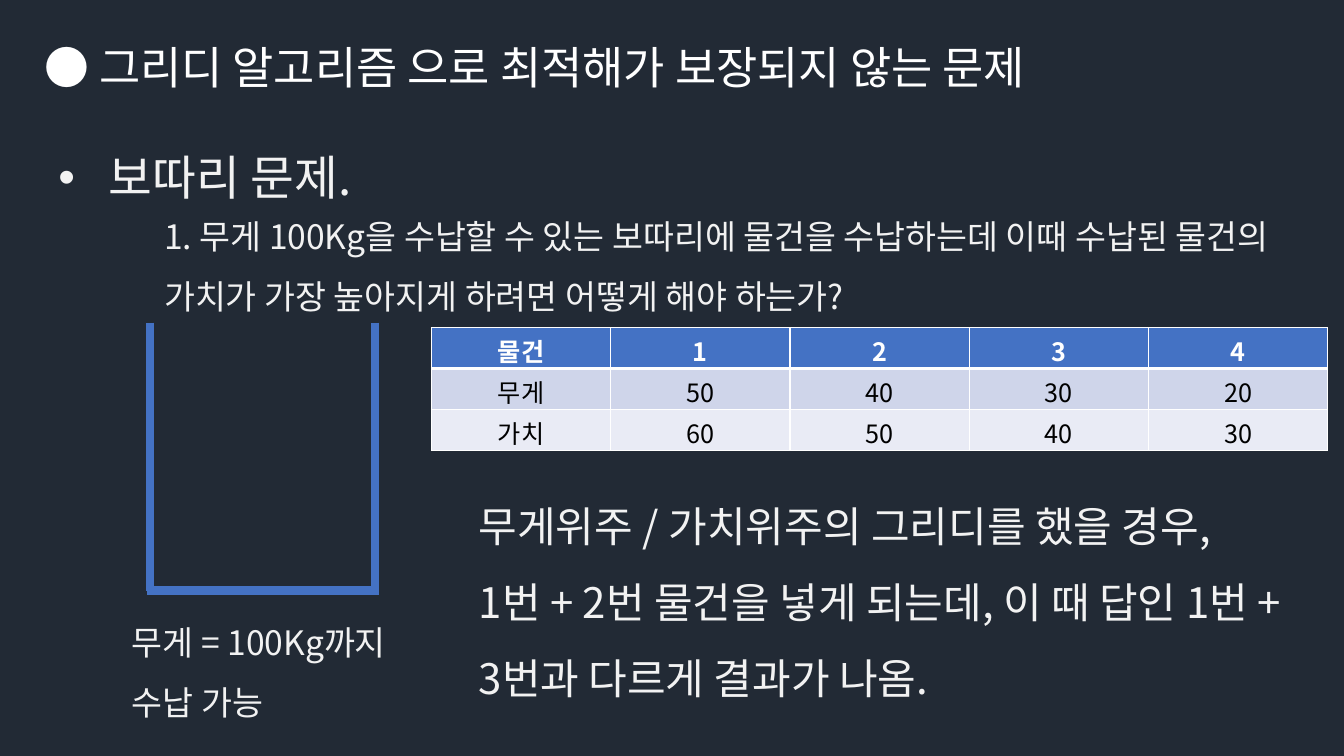
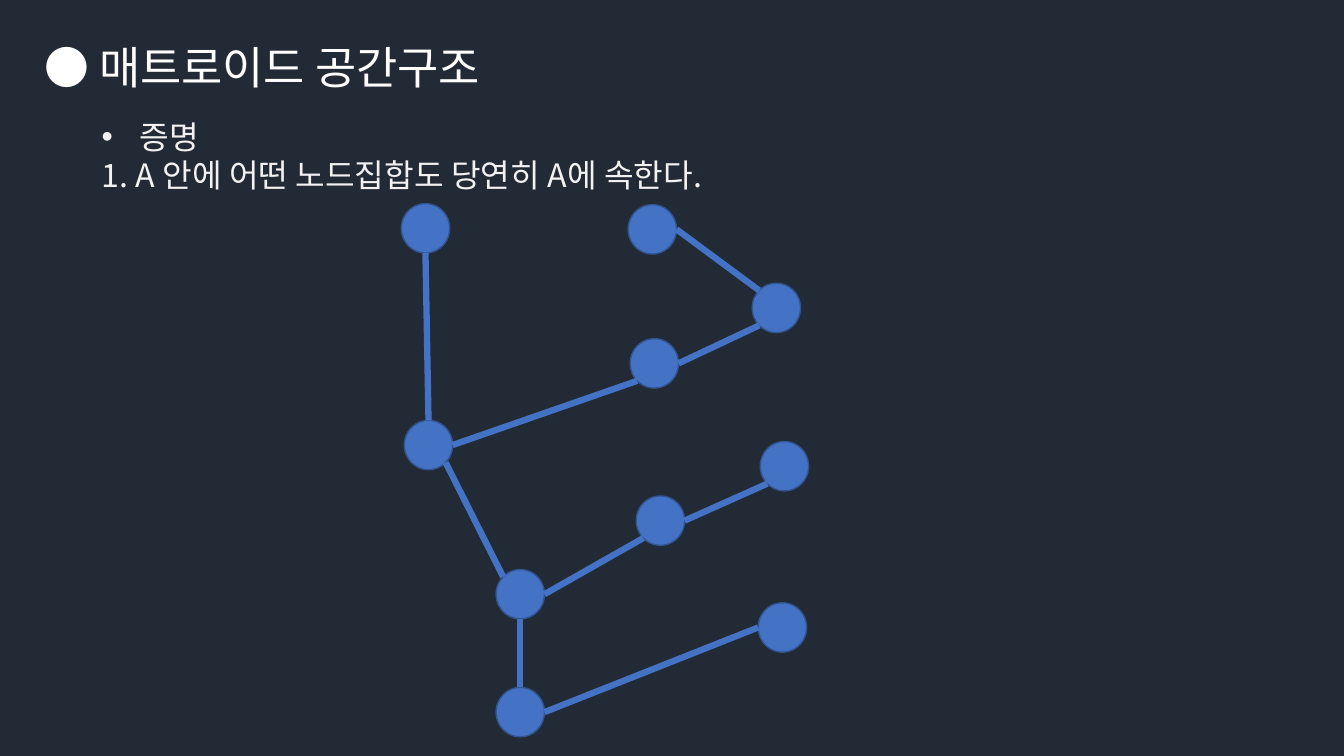
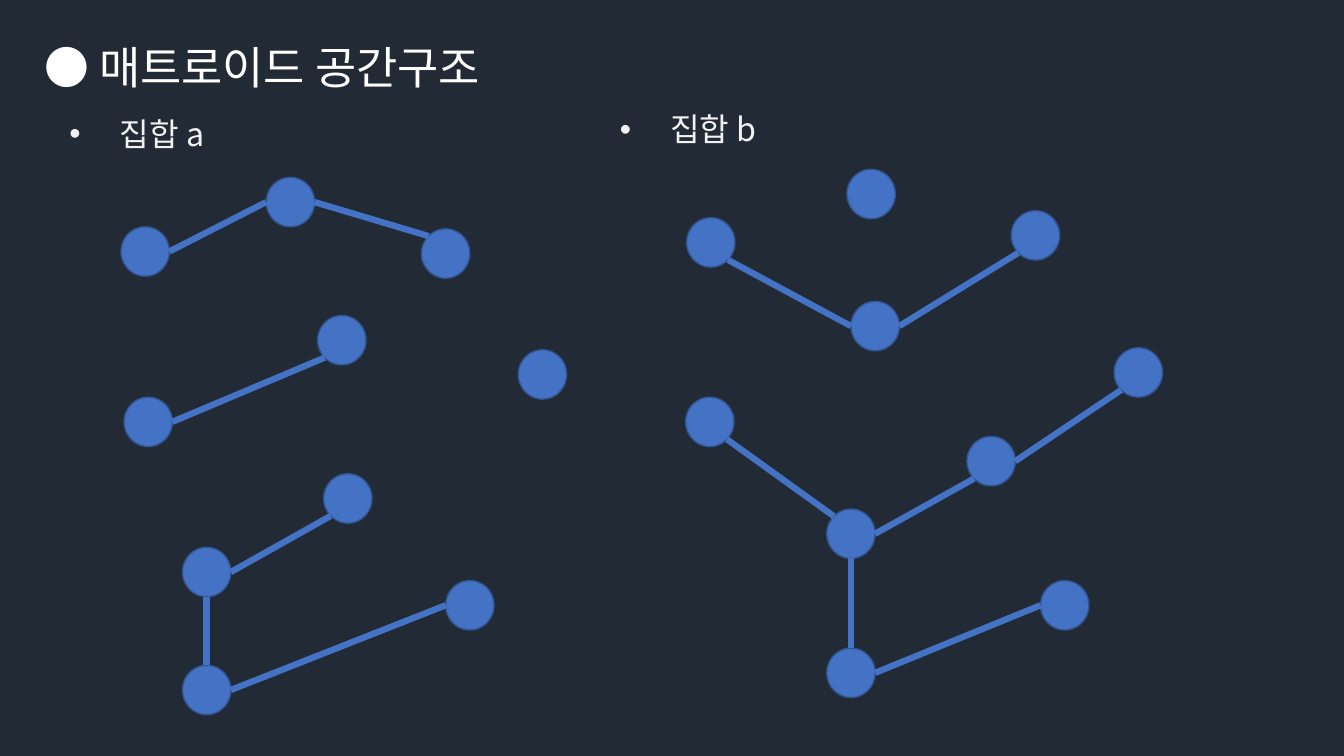
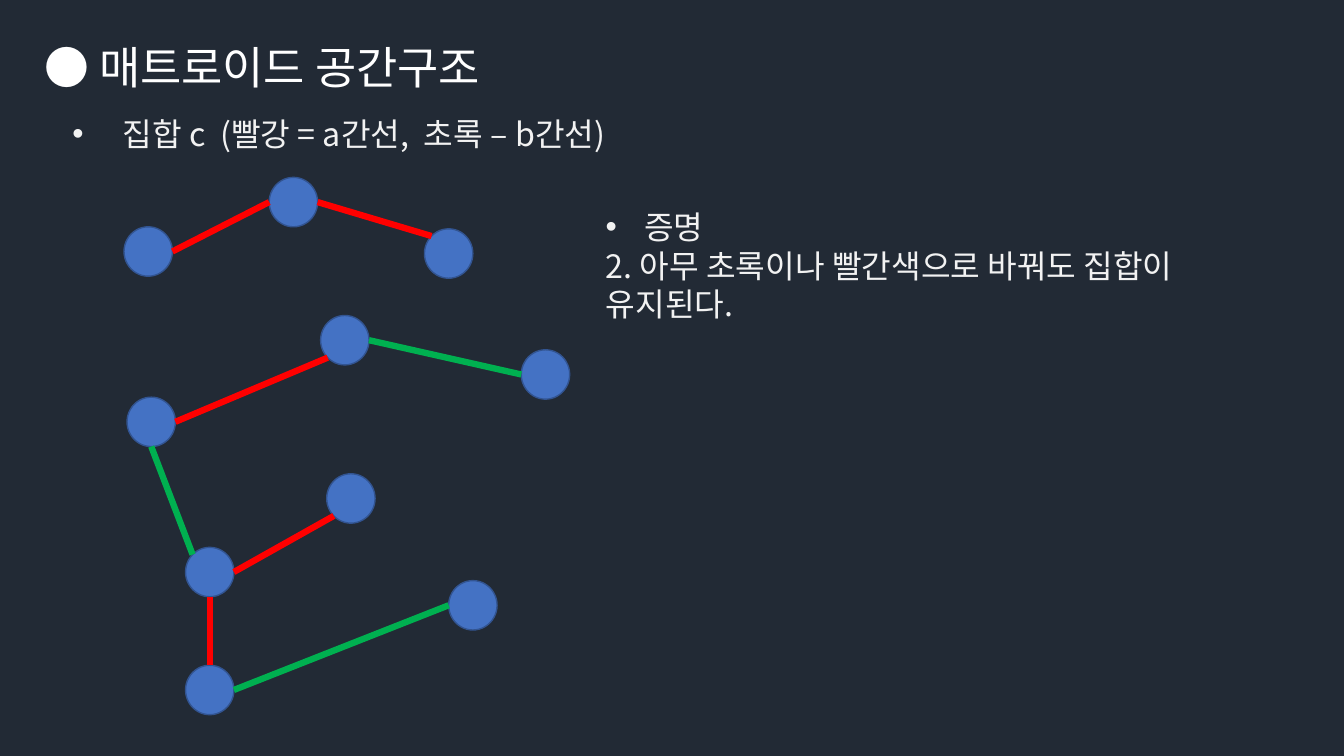
import copy
import dataclasses
import math

import pptx
import pptx.dml.color
import pptx.enum.shapes
import pptx.enum.text
import pptx.oxml
import pptx.oxml.ns
import pptx.util
from lxml import etree

Inches = pptx.util.Inches
Pt = pptx.util.Pt
qn = pptx.oxml.ns.qn


@dataclasses.dataclass(frozen=True)
class Theme:
    font: str = "Noto Sans CJK KR"
    background: str = "222A35"
    title: str = "FFFFFF"
    text: str = "F2F2F2"
    accent: str = "4472C4"
    outline: str = "325491"
    red: str = "FF0000"
    green: str = "00B050"
    table_text: str = "000000"
    table_border: str = "FFFFFF"
    table_bands: tuple = ("CFD5EA", "E9EBF5")
    title_size: int = 32
    heading_size: int = 34
    result_size: int = 30
    body_size: int = 24
    note_size: int = 23
    table_size: int = 18
    edge_width: float = 4.5
    sack_width: float = 6


THEME = Theme()
NODE_WIDTH, NODE_HEIGHT = 0.48, 0.49
WIDE_INDENT, NARROW_INDENT = 0.5, 0.38
MATROID_TITLE = "매트로이드 공간구조"

ITEMS = [
    ["물건", "1", "2", "3", "4"],
    ["무게", "50", "40", "30", "20"],
    ["가치", "60", "50", "40", "30"],
]
KNAPSACK_TEXTS = [
    ((0.48, 1.42, 11.65, 0.67), THEME.heading_size, 1, [("보따리 문제.", WIDE_INDENT)]),
    ((1.21, 5.92, 4.63, 1.23), THEME.body_size, 1.5,
     [("무게 = 100Kg까지", 0), ("수납 가능", 0)]),
    ((4.65, 4.67, 8.33, 2.28), THEME.result_size, 1.5,
     [("무게위주 / 가치위주의 그리디를 했을 경우,", 0),
      ("1번 + 2번 물건을 넣게 되는데, 이 때 답인 1번 + 3번과 다르게 결과가 나옴.", 0)]),
    ((1.53, 1.89, 11.33, 1.23), THEME.body_size, 1.5,
     [("1. 무게 100Kg을 수납할 수 있는 보따리에 물건을 수납하는데 이때 수납된 "
       "물건의 가치가 가장 높아지게 하려면 어떻게 해야 하는가?", 0)]),
]
SACK_SIDES = [
    ((1.49, 3.2), (1.49, 5.86)),
    ((3.76, 5.86), (1.46, 5.86)),
    ((3.72, 3.2), (3.72, 5.86)),
]

TREE_NODES = [
    (3.98, 2.02), (6.23, 2.03), (7.46, 2.81), (6.25, 3.36), (4.01, 4.17),
    (7.54, 4.38), (6.31, 4.92), (4.92, 5.65), (4.92, 6.82), (7.52, 5.98),
]
TREE_EDGES = [
    (0, "bottom", 4, "top"), (1, "right", 2, "top left"),
    (2, "bottom left", 3, "right"), (3, "bottom left", 4, "right"),
    (7, "top left", 4, "bottom right"), (5, "bottom left", 6, "right"),
    (6, "bottom left", 7, "right"), (9, "left", 8, "right"),
    (7, "bottom", 8, "top"),
]
SET_A_NODES = [
    (1.2, 2.25), (2.64, 1.76), (4.18, 2.27), (3.15, 3.13), (1.23, 3.94),
    (5.14, 3.47), (3.21, 4.7), (1.81, 5.43), (1.81, 6.6), (4.42, 5.76),
]
KEPT_EDGES = [
    (3, "bottom left", 4, "right"), (1, "left", 0, "right"),
    (6, "bottom left", 7, "right"), (7, "bottom", 8, "top"),
    (1, "right", 2, "top left"),
]
SHARED_EDGE = (9, "left", 8, "right")
SET_B_NODES = [
    (6.81, 2.16), (8.4, 1.68), (10.03, 2.09), (8.44, 2.99), (6.8, 3.94),
    (11.05, 3.45), (9.59, 4.33), (8.2, 5.05), (8.2, 6.43), (10.32, 5.76),
]
SET_B_EDGES = [
    (0, "bottom right", 3, "left"), (2, "bottom left", 3, "right"),
    (7, "top left", 4, "bottom right"), (5, "bottom left", 6, "right"),
    (6, "bottom left", 7, "right"), SHARED_EDGE, (7, "bottom", 8, "top"),
]
SET_C_NODES = [(left + 0.03, top) for left, top in SET_A_NODES]
ADDED_EDGES = [SHARED_EDGE, (5, "left", 3, "right"), (7, "top left", 4, "bottom")]

MATROID_SLIDES = [
    {
        "texts": [((0.91, 1.11, 11.28, 0.88),
                   [("증명", NARROW_INDENT),
                    ("1. A 안에 어떤 노드집합도 당연히 A에 속한다.", 0)])],
        "graphs": [(TREE_NODES, [(TREE_EDGES, THEME.accent)])],
    },
    {
        "texts": [((0.59, 1.08, 1.9, 0.49), [("집합 a", WIDE_INDENT)]),
                  ((6.05, 1.04, 1.9, 0.49), [("집합 b", WIDE_INDENT)])],
        "graphs": [(SET_A_NODES, [(KEPT_EDGES + [SHARED_EDGE], THEME.accent)]),
                   (SET_B_NODES, [(SET_B_EDGES, THEME.accent)])],
    },
    {
        "texts": [((0.62, 1.08, 7.59, 0.49),
                   [("집합 c  (빨강 = a간선,  초록 – b간선)", WIDE_INDENT)]),
                  ((5.91, 2.01, 6.7, 1.26),
                   [("증명", NARROW_INDENT),
                    ("2. 아무 초록이나 빨간색으로 바꿔도 집합이 유지된다.", 0)])],
        "graphs": [(SET_C_NODES, [(KEPT_EDGES, THEME.red), (ADDED_EDGES, THEME.green)])],
    },
]


def rgb(color):
    return pptx.dml.color.RGBColor.from_string(color)


def add_run(paragraph, text, size, color, bold=False):
    run = paragraph.add_run()
    run.text = text
    run.font.size = Pt(size)
    run.font.bold = bold
    run.font.name = THEME.font
    run.font.color.rgb = rgb(color)
    east_asian = copy.deepcopy(run.font._element.find(qn("a:latin")))
    east_asian.tag = qn("a:ea")
    run.font._element.append(east_asian)


def add_bullet(paragraph, indent):
    properties = paragraph._p.get_or_add_pPr()
    properties.set("marL", str(Inches(indent)))
    properties.set("indent", str(-Inches(indent)))
    etree.SubElement(properties, qn("a:buFont"), typeface="Arial")
    etree.SubElement(properties, qn("a:buChar"), char="•")


def add_text(slide, box, paragraphs, size, color=THEME.text, spacing=1):
    frame = slide.shapes.add_textbox(*map(Inches, box)).text_frame
    frame.word_wrap = True
    frame.auto_size = pptx.enum.text.MSO_AUTO_SIZE.SHAPE_TO_FIT_TEXT
    for index, (text, indent) in enumerate(paragraphs):
        paragraph = frame.add_paragraph() if index else frame.paragraphs[0]
        paragraph.line_spacing = float(spacing)
        if indent:
            add_bullet(paragraph, indent)
        add_run(paragraph, text, size, color)


def add_line(slide, start, end, color, width):
    connector = slide.shapes.add_connector(
        pptx.enum.shapes.MSO_CONNECTOR.STRAIGHT, *map(Inches, start + end))
    connector.line.color.rgb = rgb(color)
    connector.line.width = Pt(width)
    etree.SubElement(connector._element.spPr, qn("a:effectLst"))


def node_site(node, side):
    horizontal = ("right" in side) - ("left" in side)
    vertical = ("bottom" in side) - ("top" in side)
    reach = math.hypot(horizontal, vertical)
    return (node[0] + NODE_WIDTH / 2 * (1 + horizontal / reach),
            node[1] + NODE_HEIGHT / 2 * (1 + vertical / reach))


def add_graph(slide, nodes, edge_groups):
    for left, top in nodes:
        shape = slide.shapes.add_shape(
            pptx.enum.shapes.MSO_SHAPE.OVAL,
            *map(Inches, (left, top, NODE_WIDTH, NODE_HEIGHT)))
        shape.shadow.inherit = False
        shape.fill.solid()
        shape.fill.fore_color.rgb = rgb(THEME.accent)
        shape.line.color.rgb = rgb(THEME.outline)
        shape.line.width = Pt(1)
    for edges, color in edge_groups:
        for first, first_side, second, second_side in edges:
            add_line(slide, node_site(nodes[first], first_side),
                     node_site(nodes[second], second_side), color, THEME.edge_width)


def set_borders(cell, widths):
    properties = cell._tc.get_or_add_tcPr()
    for position, (side, width) in enumerate(widths.items()):
        border = etree.Element(qn(f"a:ln{side}"), w=str(Pt(width)))
        fill = etree.SubElement(border, qn("a:solidFill"))
        etree.SubElement(fill, qn("a:srgbClr"), val=THEME.table_border)
        properties.insert(position, border)


def add_items_table(slide):
    table = slide.shapes.add_table(
        len(ITEMS), len(ITEMS[0]), *map(Inches, (4.28, 3.25, 8.89, 1.22))).table
    fills = (THEME.accent,) + THEME.table_bands
    for row_index, (values, fill) in enumerate(zip(ITEMS, fills)):
        header = row_index == 0
        for column_index, value in enumerate(values):
            cell = table.cell(row_index, column_index)
            cell.fill.solid()
            cell.fill.fore_color.rgb = rgb(fill)
            cell.vertical_anchor = pptx.enum.text.MSO_ANCHOR.MIDDLE
            paragraph = cell.text_frame.paragraphs[0]
            paragraph.alignment = pptx.enum.text.PP_ALIGN.CENTER
            add_run(paragraph, value, THEME.table_size,
                    THEME.title if header else THEME.table_text, header)
            set_borders(cell, {"L": 1, "R": 1, "T": 3 if row_index == 1 else 1,
                               "B": 3 if header else 1})


def add_slide(presentation, title, title_width):
    slide = presentation.slides.add_slide(presentation.slide_layouts[6])
    add_text(slide, (0.34, 0.34, title_width, 0.64), [("● " + title, 0)],
             THEME.title_size, THEME.title)
    return slide


def add_knapsack_slide(presentation):
    slide = add_slide(presentation, "그리디 알고리즘 으로 최적해가 보장되지 않는 문제", 11.37)
    for start, end in SACK_SIDES:
        add_line(slide, start, end, THEME.accent, THEME.sack_width)
    add_items_table(slide)
    for box, size, spacing, paragraphs in KNAPSACK_TEXTS:
        add_text(slide, box, paragraphs, size, spacing=spacing)


def add_matroid_slide(presentation, content):
    slide = add_slide(presentation, MATROID_TITLE, 7.88)
    for box, paragraphs in content["texts"]:
        add_text(slide, box, paragraphs, THEME.note_size)
    for nodes, edge_groups in content["graphs"]:
        add_graph(slide, nodes, edge_groups)


def main():
    presentation = pptx.Presentation()
    presentation.slide_width = Inches(13.33)
    presentation.slide_height = Inches(7.5)
    background = presentation.slide_master.background.fill
    background.solid()
    background.fore_color.rgb = rgb(THEME.background)
    add_knapsack_slide(presentation)
    for content in MATROID_SLIDES:
        add_matroid_slide(presentation, content)
    presentation.save("out.pptx")


if __name__ == "__main__":
    main()
